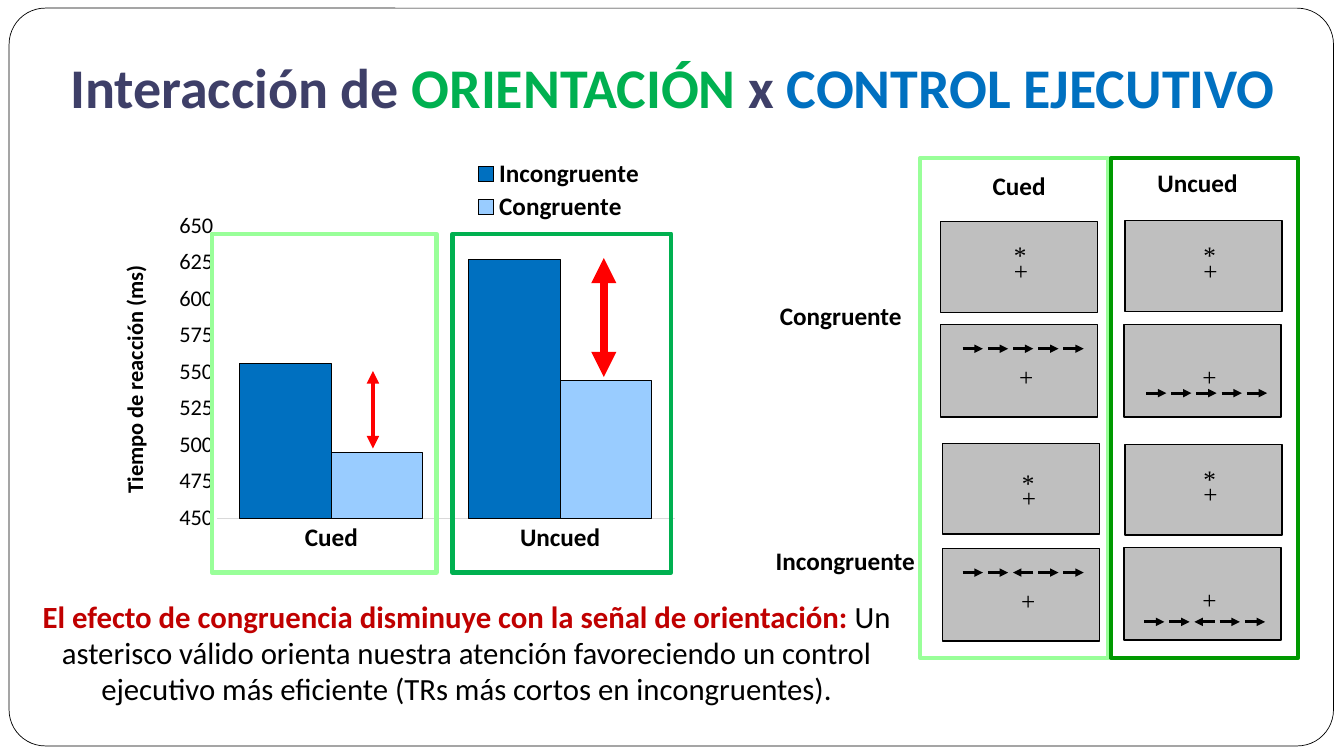
"""Build the slide on the interaction of orienting and executive control."""
import pptx
import pptx.chart.data
import pptx.dml.color
import pptx.enum.chart
import pptx.enum.shapes
import pptx.enum.text
import pptx.oxml
import pptx.oxml.ns
import pptx.util

Pt = pptx.util.Pt
RGB = pptx.dml.color.RGBColor.from_string
SHAPE = pptx.enum.shapes.MSO_SHAPE
ANCHOR = pptx.enum.text.MSO_ANCHOR
qn = pptx.oxml.ns.qn
COLORS = {
    "black": "000000", "white": "FFFFFF", "panel": "BFBFBF", "axis": "D9D9D9",
    "blue": "0070C0", "sky": "99CCFF", "mint": "99FF99", "green": "00B050",
    "forest": "009900", "title": "3E3F68", "crimson": "C00000", "red": "FF0000",
}

prs = pptx.Presentation()
prs.slide_width, prs.slide_height = Pt(960), Pt(540)
s = prs.slides.add_slide(prs.slide_layouts[6])


def add_text(x, y, w, h, runs, size=18, font="Calibri", anchor=ANCHOR.TOP, spacing=None, rotation=0):
    """Add a centred text box from (text, colour, bold) runs."""
    sp = s.shapes.add_textbox(Pt(x), Pt(y), Pt(w), Pt(h))
    sp.rotation = rotation
    tf = sp.text_frame
    tf.word_wrap = True
    tf.vertical_anchor = anchor
    p = tf.paragraphs[0]
    p.alignment = pptx.enum.text.PP_ALIGN.CENTER
    p.line_spacing = spacing
    for text, color, bold in runs:
        r = p.add_run()
        r.text = text
        r.font.size, r.font.name, r.font.bold = Pt(size), font, bold
        r.font.color.rgb = RGB(COLORS[color])
    return sp


def add_arrow(x1, y1, x2, y2, color, width, ends):
    """Add a straight connector with triangles at the given ends."""
    sp = s.shapes.add_connector(pptx.enum.shapes.MSO_CONNECTOR.STRAIGHT, Pt(x1), Pt(y1), Pt(x2), Pt(y2))
    sp.line.color.rgb = RGB(COLORS[color])
    sp.line.width = Pt(width)
    spPr = sp._element.spPr
    for end in ends:
        spPr.find(qn("a:ln")).append(spPr.makeelement(qn("a:" + end), {"type": "triangle"}))
    spPr.append(spPr.makeelement(qn("a:effectLst"), {}))


sp = s.shapes.add_shape(SHAPE.ROUNDED_RECTANGLE, Pt(6.5), Pt(5.8), Pt(946), Pt(527))
sp.adjustments[0] = 0.049
sp.shadow.inherit = False
sp.fill.solid()
sp.fill.fore_color.rgb = RGB(COLORS["white"])
sp.line.color.rgb = RGB(COLORS["black"])
sp.line.width = Pt(0.5)

data = pptx.chart.data.CategoryChartData()
data.categories = ["Cued", "Uncued"]
data.add_series("Incongruente", (556, 627))
data.add_series("Congruente", (495, 544))
chart = s.shapes.add_chart(pptx.enum.chart.XL_CHART_TYPE.COLUMN_CLUSTERED,
                           Pt(92.9), Pt(108), Pt(395.3), Pt(326.9), data).chart
chart.has_title = False
chart.has_legend = True
legend, plot = chart.legend, chart.plots[0]
legend.position = pptx.enum.chart.XL_LEGEND_POSITION.TOP
legend.include_in_layout = False
plot.gap_width, plot.overlap, plot.vary_by_categories = 50, 0, False
for series, color in zip(plot.series, ("blue", "sky")):
    series.format.fill.solid()
    series.format.fill.fore_color.rgb = RGB(COLORS[color])
    series.format.line.color.rgb = RGB(COLORS["black"])
    series.format.line.width = Pt(0.75)

cat_axis, val_axis = chart.category_axis, chart.value_axis
for axis in (cat_axis, val_axis):
    axis.major_tick_mark = axis.minor_tick_mark = pptx.enum.chart.XL_TICK_MARK.NONE
    axis.has_major_gridlines = False
cat_axis.format.line.color.rgb = RGB(COLORS["axis"])
cat_axis.format.line.width = Pt(0.75)
val_axis.format.line.fill.background()
val_axis.minimum_scale, val_axis.maximum_scale, val_axis.major_unit = 450, 650, 25
for font, size, bold in ((cat_axis.tick_labels.font, 18, True),
                         (val_axis.tick_labels.font, 16, False), (legend.font, 18, True)):
    font.name, font.size, font.bold = "Calibri", Pt(size), bold
    font.color.rgb = RGB(COLORS["black"])

plot_area = chart._chartSpace.find(".//" + qn("c:plotArea"))
for parent, index, target, box in ((plot_area, 0, '<c:layoutTarget val="inner"/>', (0.157, 0.163, 0.827, 0.639)),
                                   (legend._element, 1, "", (0.62, 0.01, 0.31, 0.15))):
    for old in parent.findall(qn("c:layout")):
        parent.remove(old)
    modes = '<c:xMode val="edge"/><c:yMode val="edge"/>'
    sizes = "".join(f'<c:{key} val="{value}"/>' for key, value in zip("xywh", box))
    parent.insert(index, pptx.oxml.parse_xml(
        '<c:layout xmlns:c="http://schemas.openxmlformats.org/drawingml/2006/chart">'
        f"<c:manualLayout>{target}{modes}{sizes}</c:manualLayout></c:layout>"))

add_text(-13, 257.8, 218, 26.6, [("Tiempo de reacción (ms)", "black", True)], size=16, rotation=270)

cue_panels = [(671.8, 158.4, 45.3, 20.2), (803.5, 157.7, 49, 20.9),
              (673.2, 316.8, 49.7, 24.5), (803.5, 317.5, 49, 20.9)]
target_panels = [(671.8, 231.8, 687.6, 249.1, False), (802.8, 231.8, 818.6, 280.8, False),
                 (673.2, 391.7, 687.6, 409, True), (802.8, 391, 817.2, 444.2, True)]
frames = [(151.2, 167, 160.6, 242, "mint"), (323.3, 167, 156.2, 242, "green"),
          (657.4, 113, 133.9, 357, "mint"), (793.4, 113, 133.9, 357, "forest")]
boxes = [(x, y, 112.3, 64.8, "black", 1) for x, y, *_ in cue_panels]
boxes += [(x, y, 112.3, 66.2, "black", 1) for x, y, *_ in target_panels]
boxes += [(*frame, 3) for frame in frames]
for x, y, w, h, color, width in boxes:
    sp = s.shapes.add_shape(SHAPE.RECTANGLE, Pt(x), Pt(y), Pt(w), Pt(h))
    sp.shadow.inherit = False
    if width == 1:
        sp.fill.solid()
        sp.fill.fore_color.rgb = RGB(COLORS["panel"])
    else:
        sp.fill.background()
    sp.line.color.rgb = RGB(COLORS[color])
    sp.line.width = Pt(width)

marks = [(x + 49, y + 23, "+") for x, y, *_ in target_panels]
for x, y, dx, dy in cue_panels:
    marks += [(x + dx, y + dy, "+"), (x + dx, y + dy - 11, "*")]
for x, y, mark in marks:
    add_text(x, y, 15.1, 28, [(mark, "black", False)], font="Times New Roman")

for _, _, left, y, incongruent in target_panels:
    for i in range(5):
        x1, x2 = left + 18 * i, left + 18 * i + 14.5
        if incongruent and i == 2:
            x1, x2 = x2, x1
        add_arrow(x1, y, x2, y, "black", 2, ["tailEnd"])

for x, y, w, label in ((542.2, 385.9, 123.1, "Incongruente"), (536.4, 211, 128.2, "Congruente"),
                       (671, 118, 113.8, "Cued"), (798.5, 116, 113.8, "Uncued")):
    add_text(x, y, w, 28.8, [(label, "black", True)])

sp = add_text(10.8, 37.4, 938.9, 55.4, [
    ("Interacción de ", "title", True), ("ORIENTACIÓN", "green", True),
    (" x ", "title", True), ("CONTROL EJECUTIVO", "blue", True)], size=40, anchor=ANCHOR.BOTTOM)
sp.text_frame.margin_bottom = Pt(7.2)

add_text(23, 424.8, 620.6, 92.2, [
    ("El efecto de congruencia disminuye con la señal de orientación: ", "crimson", True),
    ("Un asterisco válido orienta nuestra atención favoreciendo un control ejecutivo "
     "más eficiente (TRs más cortos en incongruentes).", "black", False)], size=22, spacing=0.97)

for x, top, bottom, width in ((266.4, 265, 320.4, 3), (431.3, 184.3, 269.3, 6)):
    add_arrow(x, top, x, bottom, "red", width, ["headEnd", "tailEnd"])

prs.save("out.pptx")
